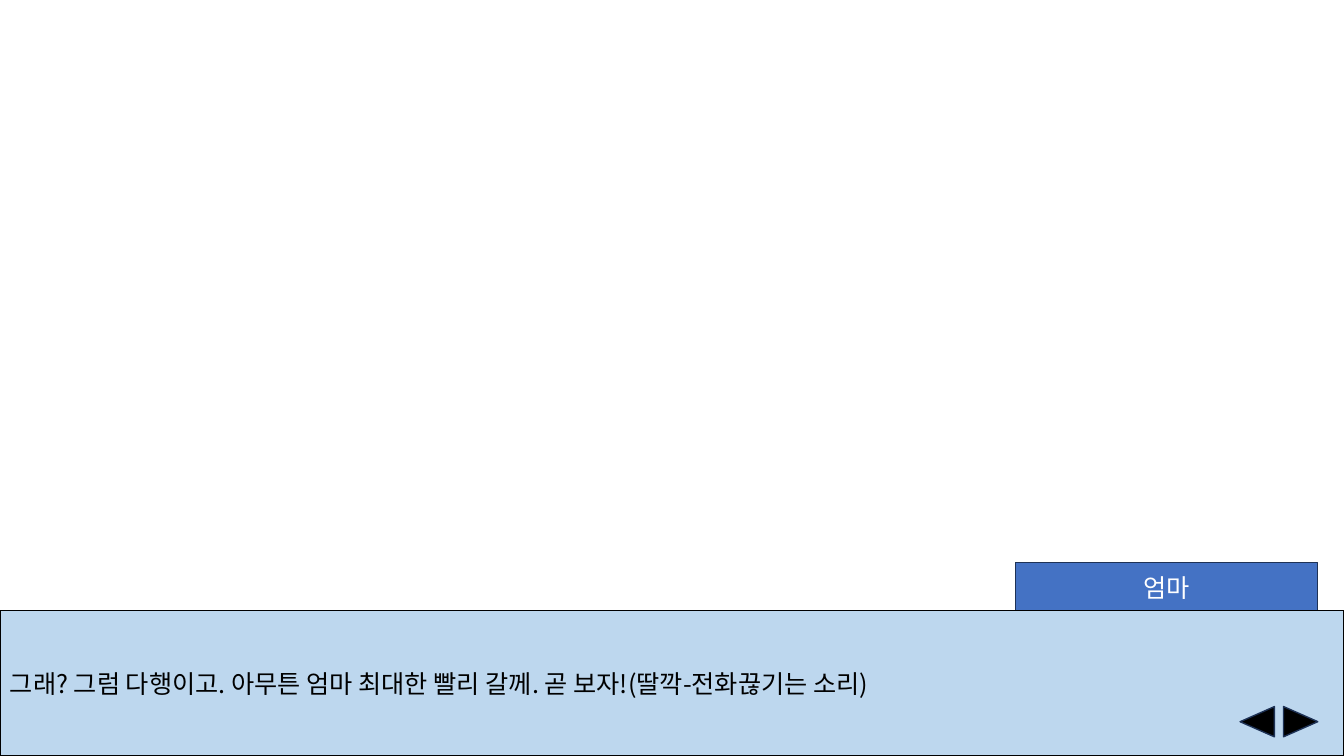
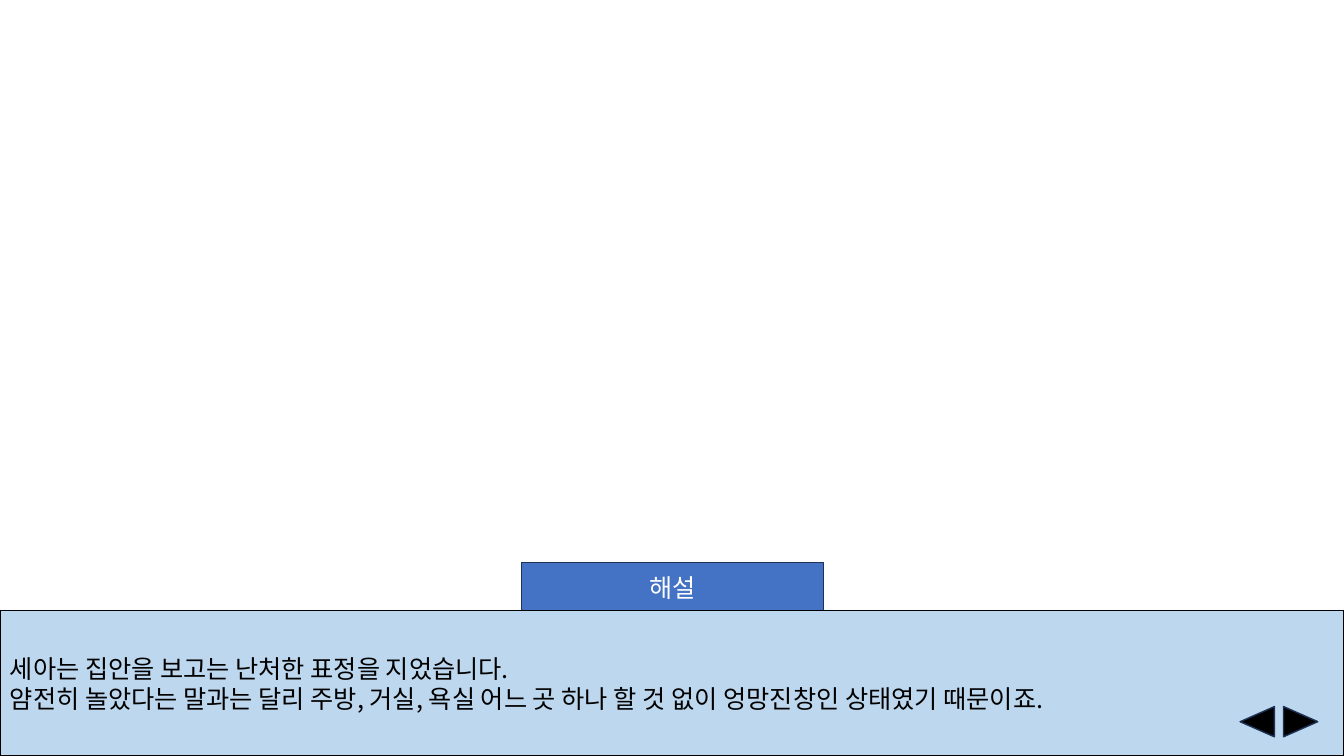
from dataclasses import dataclass

from lxml.etree import SubElement
from pptx import Presentation
from pptx.dml.color import RGBColor
from pptx.enum.shapes import MSO_SHAPE
from pptx.enum.text import MSO_ANCHOR, MSO_AUTO_SIZE, PP_ALIGN
from pptx.oxml.ns import qn
from pptx.util import Inches, Pt

RECT, ARROW = MSO_SHAPE.RECTANGLE, MSO_SHAPE.ISOSCELES_TRIANGLE
MIDDLE, NO_FIT = MSO_ANCHOR.MIDDLE, MSO_AUTO_SIZE.NONE
LEFT, CENTER = PP_ALIGN.LEFT, PP_ALIGN.CENTER
TITLE_ONLY = 5


@dataclass(frozen=True)
class Theme:
    font: str = "Noto Sans CJK KR"
    size: int = 18
    line: int = 1
    ink: str = "000000"
    paper: str = "FFFFFF"
    panel: str = "BDD7EE"
    tag: str = "4472C4"
    edge: str = "1E3256"


THEME = Theme()
WIDTH, HEIGHT = 13.33, 7.5
PANEL_TOP = 6.06
TAG_TOP, TAG_WIDTH, TAG_HEIGHT = 5.58, 3, 0.49
TAG_MID, TAG_RIGHT = 5.17, 10.07
ARROW_TOP, ARROW_WIDTH, ARROW_HEIGHT = 6.99, 0.3, 0.34
ARROWS = ((12.32, 270), (12.75, 90))

SCENES = (
    ("엄마", TAG_RIGHT, (
        "그래? 그럼 다행이고. 아무튼 엄마 최대한 빨리 갈께. 곧 보자!(딸깍-전화끊기는 소리)",
    )),
    ("해설", TAG_MID, (
        "세아는 집안을 보고는 난처한 표정을 지었습니다.",
        "얌전히 놀았다는 말과는 달리 주방, 거실, 욕실 어느 곳 하나 할 것 없이 "
        "엉망진창인 상태였기 때문이죠.",
    )),
)


def paint(shape, fill, line):
    shape.fill.solid()
    shape.fill.fore_color.rgb = RGBColor.from_string(fill)
    shape.line.color.rgb = RGBColor.from_string(line)
    shape.line.width = Pt(THEME.line)


def add_shape(slide, kind, box, fill, line):
    shape = slide.shapes.add_shape(kind, *map(Inches, box))
    shape.shadow.inherit = False
    paint(shape, fill, line)
    return shape


def write(shape, lines, color, align):
    frame = shape.text_frame
    frame.text = "\n".join(lines)
    frame.word_wrap = True
    frame.auto_size = NO_FIT
    frame.vertical_anchor = MIDDLE
    for para in frame.paragraphs:
        para.alignment = align
        font = para.font
        font.size = Pt(THEME.size)
        font.color.rgb = RGBColor.from_string(color)
        font.name = THEME.font
        # Hangul takes its typeface from the East Asian slot.
        SubElement(para._p.pPr.find(qn("a:defRPr")), qn("a:ea"),
                   typeface=THEME.font)


def add_panel(slide, lines):
    box = (0, PANEL_TOP, WIDTH, HEIGHT - PANEL_TOP)
    panel = add_shape(slide, RECT, box, THEME.panel, THEME.ink)
    write(panel, lines, THEME.ink, LEFT)


def add_arrows(slide):
    for left, turn in ARROWS:
        box = (left, ARROW_TOP, ARROW_WIDTH, ARROW_HEIGHT)
        arrow = add_shape(slide, ARROW, box, THEME.ink, THEME.edge)
        arrow.rotation = turn


def set_tag(slide, name, left):
    """Show the speaker's name as the slide title."""
    tag = slide.shapes.title
    tag.left, tag.top = Inches(left), Inches(TAG_TOP)
    tag.width, tag.height = Inches(TAG_WIDTH), Inches(TAG_HEIGHT)
    paint(tag, THEME.tag, THEME.edge)
    write(tag, [name], THEME.paper, CENTER)


def main():
    deck = Presentation()
    deck.slide_width, deck.slide_height = Inches(WIDTH), Inches(HEIGHT)
    for name, left, lines in SCENES:
        slide = deck.slides.add_slide(deck.slide_layouts[TITLE_ONLY])
        add_panel(slide, lines)
        add_arrows(slide)
        set_tag(slide, name, left)
    deck.save("out.pptx")


if __name__ == "__main__":
    main()
